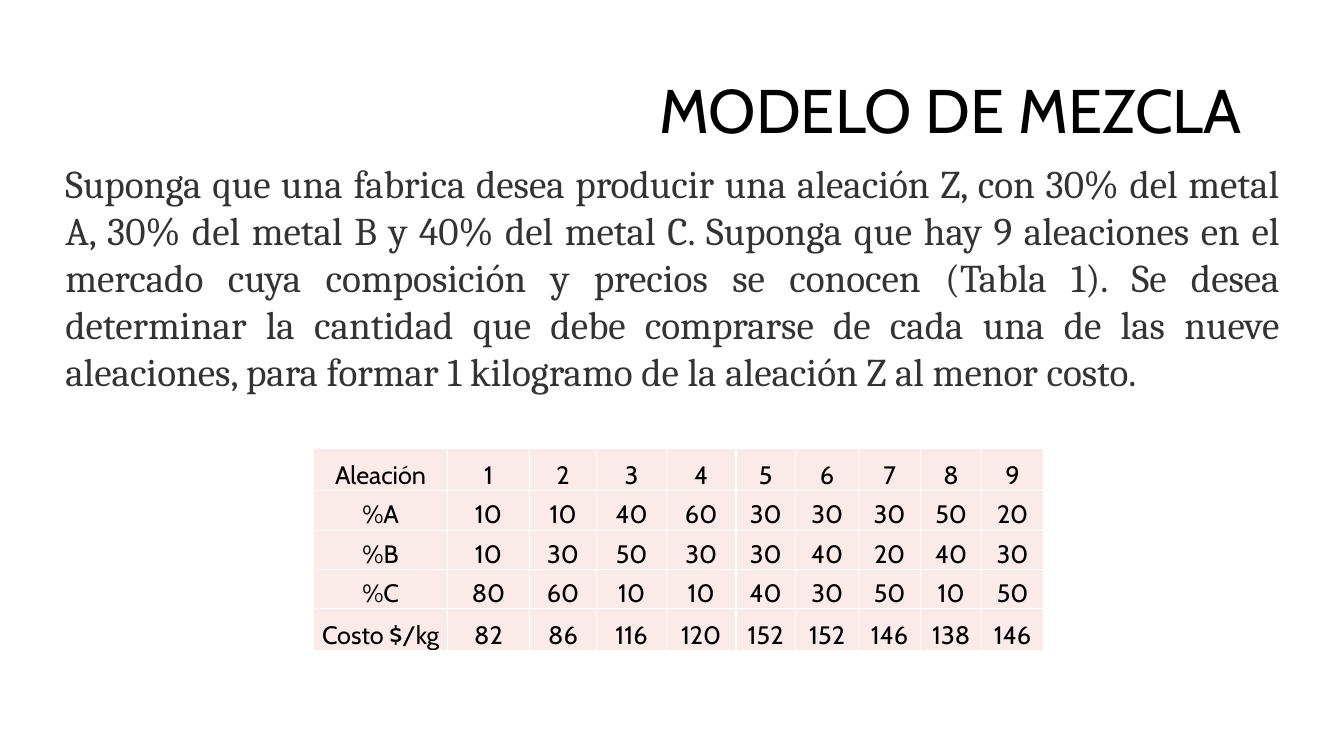
from lxml.etree import SubElement as Sub
from pptx import Presentation
from pptx.dml.color import RGBColor as Color
from pptx.enum.text import MSO_ANCHOR as Anchor, MSO_AUTO_SIZE as Auto, PP_ALIGN as Align
from pptx.oxml.ns import qn
from pptx.util import Inches, Pt

BLACK = Color(0x00, 0x00, 0x00)
GRAY = Color(0x33, 0x33, 0x33)
WHITE = Color(0xFF, 0xFF, 0xFF)
PINK = Color(0xFB, 0xEB, 0xE8)

TITLE = "MODELO DE MEZCLA"
BODY = (
    "Suponga que una fabrica desea producir una aleación Z, con 30% del metal A, "
    "30% del metal B y 40% del metal C. Suponga que hay 9 aleaciones en el mercado "
    "cuya composición y precios se conocen (Tabla 1). Se desea determinar la cantidad "
    "que debe comprarse de cada una de las nueve aleaciones, para formar 1 kilogramo "
    "de la aleación Z al menor costo."
)
ALLOYS = [
    ("Aleación", range(1, 10)),
    ("%A", [10, 10, 40, 60, 30, 30, 30, 50, 20]),
    ("%B", [10, 30, 50, 30, 30, 40, 20, 40, 30]),
    ("%C", [80, 60, 10, 10, 40, 30, 50, 10, 50]),
    ("Costo $/kg", [82, 86, 116, 120, 152, 152, 146, 138, 146]),
]
COLS = [1.33, 0.81, 0.67, 0.69, 0.69, 0.59, 0.63, 0.61, 0.61, 0.61]
ROWS = [0.42, 0.39, 0.39, 0.39, 0.42]


class Deck:
    """Holds the text styles and the current slide, and adds elements to it."""

    styles = {
        "title": (BLACK, {"name": "Cabin", "size": Pt(44)}),
        "body": (GRAY, {"name": "Cambria", "size": Pt(28)}),
        "cell": (BLACK, {"name": "Cabin", "size": Pt(18), "bold": False}),
    }

    def __init__(self):
        self.show = Presentation()
        self.show.slide_width = Inches(13.33)
        self.show.slide_height = Inches(7.5)
        self.slide = self.show.slides.add_slide(self.show.slide_layouts[6])

    def label(self, frame, text, style, align):
        para = frame.paragraphs[0]
        para.alignment = align
        run = para.add_run()
        run.text = text
        color, values = self.styles[style]
        for name, value in values.items():
            setattr(run.font, name, value)
        run.font.color.rgb = color
        return para

    def text(self, area, text, style, align, **values):
        frame = self.slide.shapes.add_textbox(*map(Inches, area)).text_frame
        for name, value in {"word_wrap": True, **values}.items():
            setattr(frame, name, value)
        return self.label(frame, text, style, align)

    def border(self, cell):
        props = cell._tc.get_or_add_tcPr()
        for side in "LRTB":
            line = Sub(props, qn(f"a:ln{side}"), w=str(Pt(1)))
            Sub(Sub(line, qn("a:solidFill")), qn("a:srgbClr"), val=str(WHITE))

    def cell(self, cell, text):
        values = {
            "vertical_anchor": Anchor.BOTTOM,
            "margin_left": Inches(0.01),
            "margin_right": Inches(0.01),
            "margin_top": Inches(0.01),
            "margin_bottom": 0,
        }
        for name, value in values.items():
            setattr(cell, name, value)
        self.border(cell)
        cell.fill.solid()
        cell.fill.fore_color.rgb = PINK
        self.label(cell.text_frame, text, "cell", Align.CENTER)

    def table(self, left, top, cols, rows, data):
        area = map(Inches, (left, top, sum(cols), sum(rows)))
        table = self.slide.shapes.add_table(len(rows), len(cols), *area).table
        table.first_row = table.horz_banding = False
        for col, width in zip(table.columns, cols):
            col.width = Inches(width)
        for row, height, (head, values) in zip(table.rows, rows, data):
            row.height = Inches(height)
            for cell, value in zip(row.cells, [head, *values]):
                self.cell(cell, str(value))


def main():
    deck = Deck()
    title = deck.text((0.92, 0.4, 11.5, 1.45), TITLE, "title", Align.RIGHT,
                      vertical_anchor=Anchor.MIDDLE)
    title.line_spacing = 0.9
    deck.text((0.55, 1.53, 12.24, 2.46), BODY, "body", Align.JUSTIFY,
              auto_size=Auto.SHAPE_TO_FIT_TEXT)
    deck.table(3.11, 4.45, COLS, ROWS, ALLOYS)
    deck.show.save("out.pptx")


if __name__ == "__main__":
    main()
